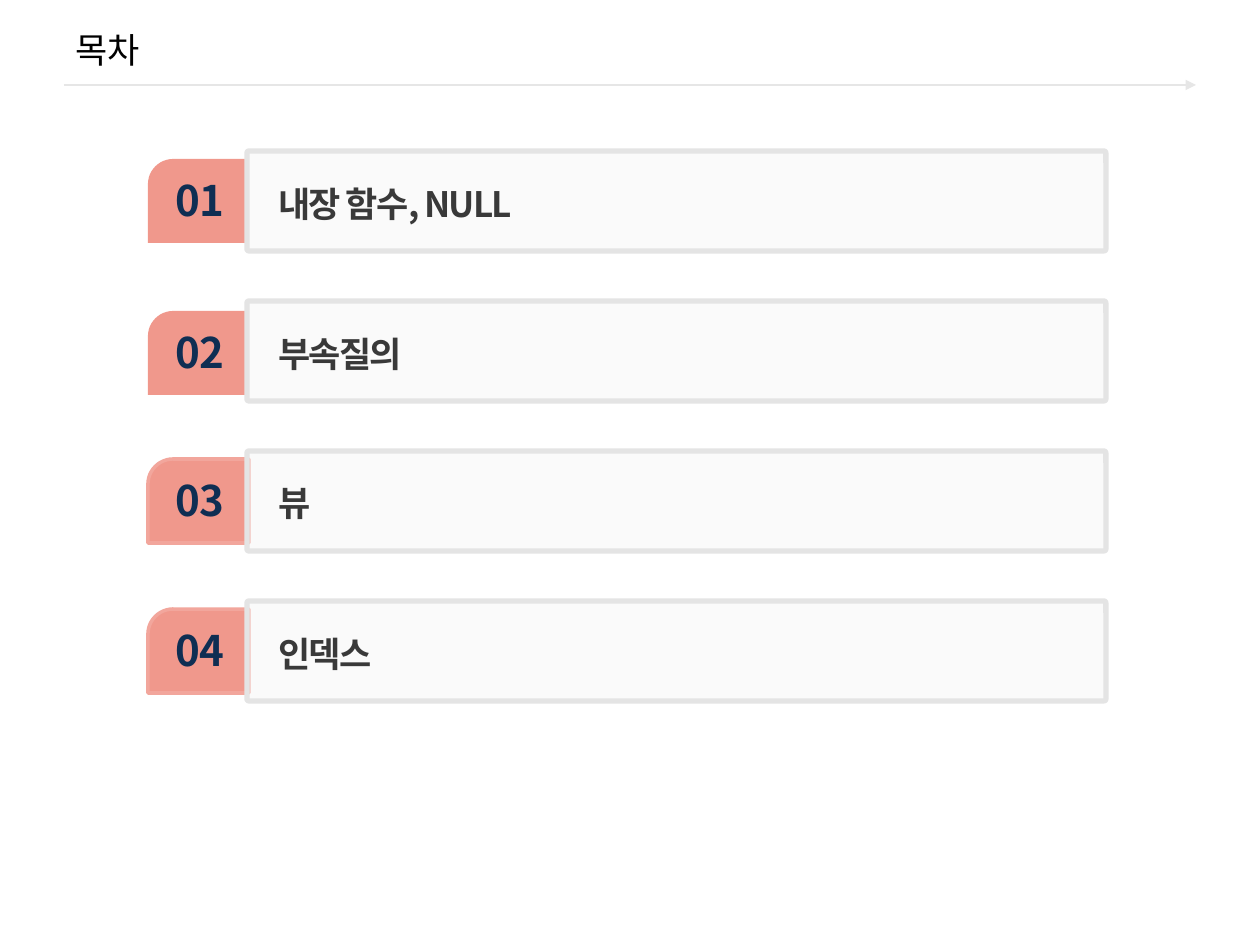
"""Build a table-of-contents slide with four numbered entries."""
from lxml.etree import SubElement
from pptx import Presentation
from pptx.dml.color import RGBColor
from pptx.enum.shapes import MSO_CONNECTOR, MSO_SHAPE
from pptx.enum.text import MSO_ANCHOR, MSO_AUTO_SIZE, PP_ALIGN
from pptx.oxml.ns import qn
from pptx.util import Pt

PX = 914400 / 126
FONT = "Noto Sans CJK KR"


def paint(color_format, hex_color):
    color_format.rgb = RGBColor.from_string(hex_color)


def add_label(shapes, box, text, color, font_format, paragraph_format, frame_format):
    frame = shapes.add_textbox(*(round(v * PX) for v in box)).text_frame
    paragraph = frame.paragraphs[0]
    run = paragraph.add_run()
    run.text = text
    for target, values in (
        (frame, frame_format),
        (paragraph, paragraph_format),
        (run.font, {"name": FONT, **font_format}),
    ):
        for key, value in values.items():
            setattr(target, key, value)
    run.font.fill.solid()
    paint(run.font.fill.fore_color, color)
    properties = run._r.get_or_add_rPr()
    SubElement(properties, qn("a:ea"), typeface=FONT)
    return properties


presentation = Presentation()
presentation.slide_width = round(1260 * PX)
presentation.slide_height = round(945 * PX)
slide = presentation.slides.add_slide(presentation.slide_layouts[6])

rule = slide.shapes.add_connector(
    MSO_CONNECTOR.STRAIGHT, *(round(v * PX) for v in (64, 85, 1196, 85))
)
paint(rule.line.color, "E6E6E6")
rule.line.width = Pt(1.5)
SubElement(rule.line._get_or_add_ln(), qn("a:tailEnd"), type="triangle")
SubElement(rule._element.spPr, qn("a:effectLst"))

add_label(
    slide.shapes, (63, 9, 1134, 81), "목차", "000000", {"size": Pt(20)}, {},
    {"word_wrap": True, "vertical_anchor": MSO_ANCHOR.MIDDLE},
)

entries = [
    ("내장 함수, NULL", 8, 21, None),
    ("부속질의", 10, 21, None),
    ("뷰", 8, 20, "F2A69C"),
    ("인덱스", 8, 21, "F2A69C"),
]
for index, (topic, tab_offset, topic_offset, tab_outline) in enumerate(entries):
    top = 151 + 150 * index
    tab_top = top + tab_offset
    row = slide.shapes.add_group_shape().shapes

    tab = row.add_shape(
        MSO_SHAPE.SNIP_ROUND_RECTANGLE, *(round(v * PX) for v in (148, tab_top, 101, 84))
    )
    tab.adjustments[0], tab.adjustments[1] = 0.3, 0
    tab.shadow.inherit = False
    tab.fill.solid()
    paint(tab.fill.fore_color, "F0988C")
    if tab_outline:
        paint(tab.line.color, tab_outline)
        tab.line.width = Pt(2)
    else:
        tab.line.fill.background()

    add_label(
        row, (163, tab_top + 9, 74, 63), f"{index + 1:02}", "0F2E53",
        {"size": Pt(24), "bold": True},
        {"alignment": PP_ALIGN.CENTER},
        {"word_wrap": False, "margin_left": 0, "margin_right": 0},
    )

    card = row.add_shape(
        MSO_SHAPE.ROUNDED_RECTANGLE, *(round(v * PX) for v in (247, top, 859, 100))
    )
    card.adjustments[0] = 0.02
    card.shadow.inherit = False
    card.fill.solid()
    paint(card.fill.fore_color, "F2F2F2")
    card_color = card._element.spPr.find(qn("a:solidFill"))[0]
    SubElement(card_color, qn("a:alpha"), val="33000")
    paint(card.line.color, "E4E4E4")
    card.line.width = Pt(3)

    topic_properties = add_label(
        row, (266, top + topic_offset, 665, 55), topic, "393939",
        {"size": Pt(20), "bold": True},
        {"line_spacing": 1.1, "space_before": Pt(18), "space_after": Pt(3)},
        {"word_wrap": True, "auto_size": MSO_AUTO_SIZE.SHAPE_TO_FIT_TEXT},
    )
    topic_properties.set("spc", "-100")

presentation.save("out.pptx")
